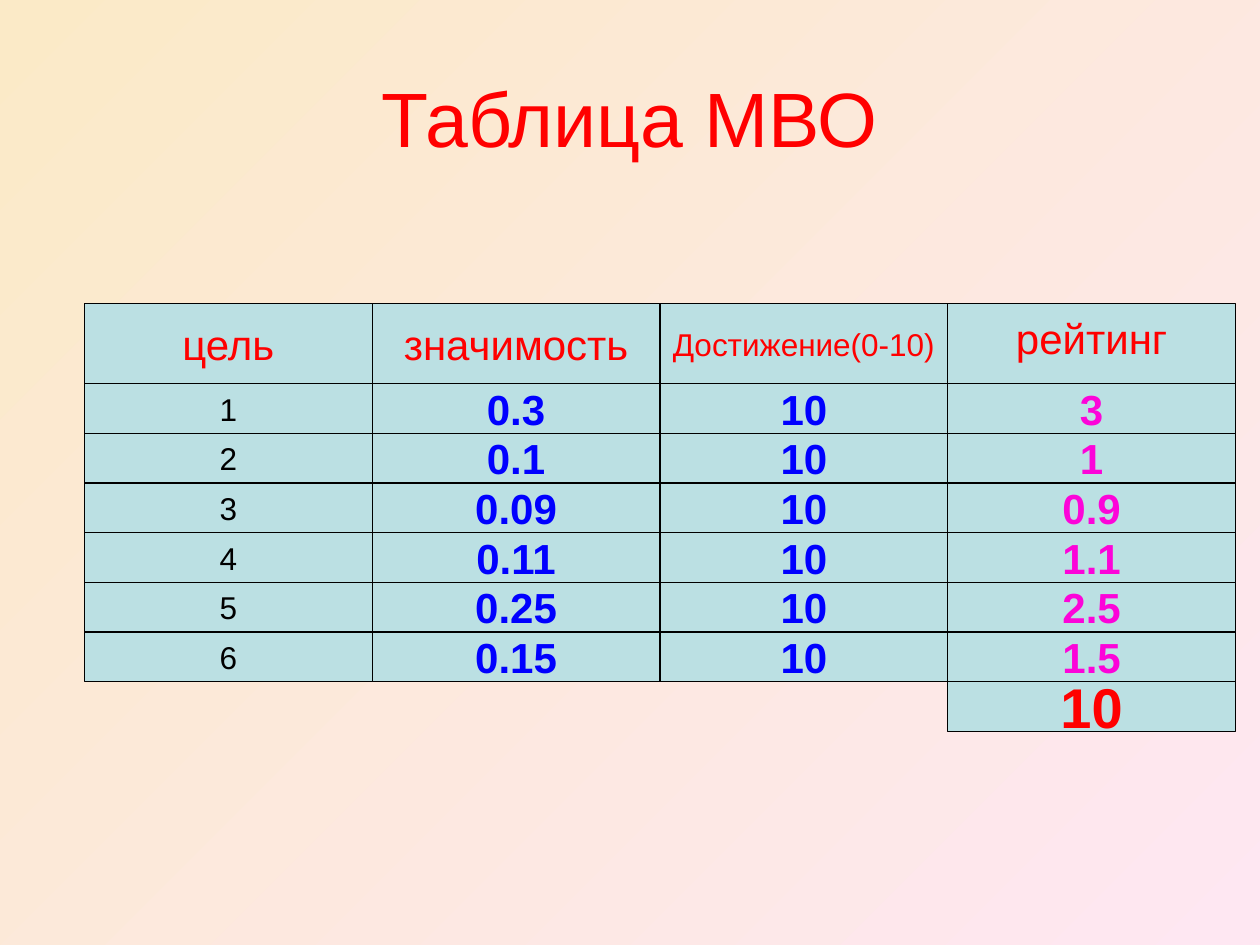
import pptx
import pptx.dml.color
import pptx.enum.shapes
import pptx.enum.text
import pptx.util

Inches = pptx.util.Inches
RGBColor = pptx.dml.color.RGBColor

RED = RGBColor(0xFF, 0x00, 0x00)
BLUE = RGBColor(0x00, 0x00, 0xFF)
MAGENTA = RGBColor(0xFC, 0x04, 0xD9)
BLACK = RGBColor(0x00, 0x00, 0x00)
PALE_TEAL = RGBColor(0xBB, 0xE0, 0xE3)
CREAM = RGBColor(0xFB, 0xEA, 0xC7)
PINK = RGBColor(0xFE, 0xE7, 0xF2)

GRID_LEFT, GRID_TOP = 0.67, 2.41
COLUMN_WIDTH = 2.284
HEADER_HEIGHT, ROW_HEIGHT = 0.635, 0.394

HEADERS = [("цель", 24), ("значимость", 24), ("Достижение(0-10)", 18), ("рейтинг", 24)]
GOALS = [
    ("1", "0.3", "10", "3"),
    ("2", "0.1", "10", "1"),
    ("3", "0.09", "10", "0.9"),
    ("4", "0.11", "10", "1.1"),
    ("5", "0.25", "10", "2.5"),
    ("6", "0.15", "10", "1.5"),
]
COLUMN_STYLES = [(18, BLACK, False), (24, BLUE, True), (24, BLUE, True), (24, MAGENTA, True)]
TOTAL = "10"


def paint_background(page):
    """Fill the page with a diagonal gradient."""
    fill = page.background.fill
    fill.gradient()
    fill.gradient_angle = 315
    for stop, color in zip(fill.gradient_stops, (CREAM, PINK)):
        stop.color.rgb = color


def write_text(box, text, size, color, bold=False):
    """Write one centred line into a box."""
    frame = box.text_frame
    frame.vertical_anchor = pptx.enum.text.MSO_ANCHOR.MIDDLE
    para = frame.paragraphs[0]
    para.text = text
    para.alignment = pptx.enum.text.PP_ALIGN.CENTER
    para.font.name = "Arial"
    para.font.size = pptx.util.Pt(size)
    para.font.bold = bold
    para.font.color.rgb = color


def add_title(page, text):
    """Add the slide heading."""
    box = page.shapes.add_textbox(Inches(0.5), Inches(0.3), Inches(9), Inches(1.25))
    box.text_frame.word_wrap = True
    write_text(box, text, 44, RED)


def add_cell(page, column, row, text, size, color, bold=False):
    """Add one bordered cell; row 0 is the taller header row."""
    top = GRID_TOP if row == 0 else GRID_TOP + HEADER_HEIGHT + (row - 1) * ROW_HEIGHT
    height = HEADER_HEIGHT if row == 0 else ROW_HEIGHT
    cell = page.shapes.add_shape(
        pptx.enum.shapes.MSO_SHAPE.RECTANGLE,
        Inches(GRID_LEFT + column * COLUMN_WIDTH), Inches(top),
        Inches(COLUMN_WIDTH), Inches(height),
    )
    cell.shadow.inherit = False
    cell.fill.solid()
    cell.fill.fore_color.rgb = PALE_TEAL
    cell.line.color.rgb = BLACK
    cell.line.width = pptx.util.Pt(0.75)
    cell.text_frame.word_wrap = False
    write_text(cell, text, size, color, bold)
    return cell


def add_grid(page):
    """Add the header, the goals and the total rating."""
    for column, (label, size) in enumerate(HEADERS):
        header = add_cell(page, column, 0, label, size, RED)
    header.text_frame.margin_bottom = Inches(0.15)
    for row, values in enumerate(GOALS, start=1):
        for column, (value, style) in enumerate(zip(values, COLUMN_STYLES)):
            add_cell(page, column, row, value, *style)
    add_cell(page, len(HEADERS) - 1, len(GOALS) + 1, TOTAL, 32, RED, True)


def main():
    """Build and save the deck."""
    deck = pptx.Presentation()
    deck.slide_width, deck.slide_height = Inches(10), Inches(7.5)
    page = deck.slides.add_slide(deck.slide_layouts[6])
    paint_background(page)
    add_title(page, "Таблица МВО")
    add_grid(page)
    deck.save("out.pptx")


if __name__ == "__main__":
    main()
